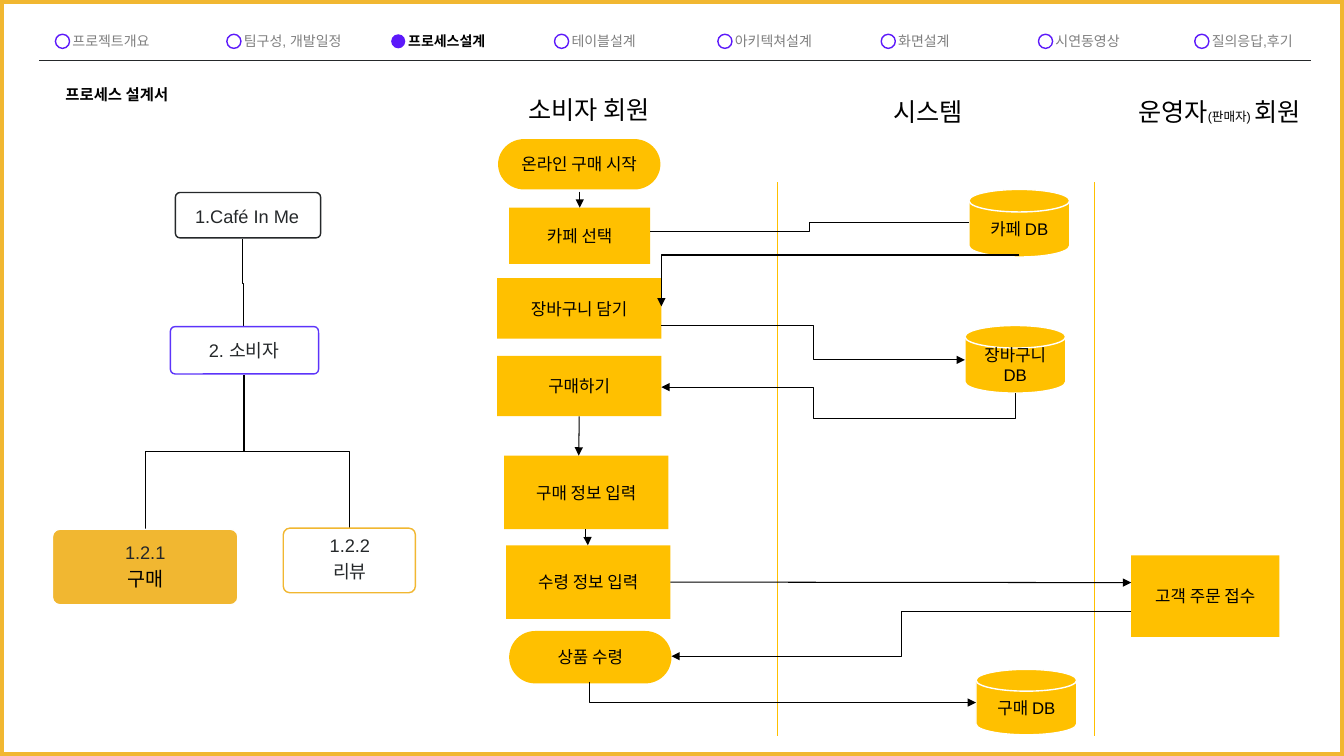
from pptx import Presentation
from pptx import util as u
from pptx.dml.color import RGBColor
from pptx.enum import shapes, text
from pptx.oxml import ns, xmlchemy

SHAPE = shapes.MSO_SHAPE
CONNECTOR = shapes.MSO_CONNECTOR
BLACK, INK, GREY = "000000", "25282A", "7F7F7F"
YELLOW, GOLD, VIOLET, WHITE = "FFC000", "F1B731", "5C19FA", "FFFFFF"


def color(value):
    return RGBColor.from_string(value)


class ProcessSlide:
    """Draws styled elements on one process design slide."""

    font = "Arial"

    def __init__(self, slide):
        self.slide = slide

    def paint(self, shape, fill=None, line=None, width=1):
        if fill:
            shape.fill.solid()
            shape.fill.fore_color.rgb = color(fill)
        else:
            shape.fill.background()
        if line:
            shape.line.color.rgb = color(line)
            shape.line.width = u.Pt(width)
        else:
            shape.line.fill.background()
        shape.shadow.inherit = False

    def set_text(self, frame, paragraphs, align=None, inset=0.1, **spacing):
        settings = {"word_wrap": True, "margin_left": u.Inches(inset), "margin_right": u.Inches(inset),
                    "margin_top": u.Inches(0.05), "margin_bottom": u.Inches(0.05)}
        if align:
            settings["vertical_anchor"] = text.MSO_ANCHOR.MIDDLE
        for name, value in settings.items():
            setattr(frame, name, value)
        for index, runs in enumerate(paragraphs):
            paragraph = frame.add_paragraph() if index else frame.paragraphs[0]
            paragraph.alignment = align
            if index:
                paragraph.space_before = u.Pt(4.5)
            for name, value in spacing.items():
                setattr(paragraph, name, value)
            for words, size, ink, bold in runs:
                run = paragraph.add_run()
                run.text = words
                run.font.color.rgb = color(ink)
                for name, value in {"name": self.font, "size": u.Pt(size), "bold": bold}.items():
                    setattr(run.font, name, value)

    def shape(self, kind, box, fill=None, line=None, width=1, label=None):
        shape = self.slide.shapes.add_shape(kind, *map(u.Inches, box))
        self.paint(shape, fill, line, width)
        if label:
            self.set_text(shape.text_frame, [[(label, 12, BLACK, False)]], text.PP_ALIGN.CENTER)
        return shape

    def text(self, box, runs):
        frame = self.slide.shapes.add_textbox(*map(u.Inches, box)).text_frame
        self.set_text(frame, [runs])
        frame.auto_size = text.MSO_AUTO_SIZE.SHAPE_TO_FIT_TEXT

    def connector(self, begin, end, ink=BLACK, width=0.75, arrow=False, kind=CONNECTOR.STRAIGHT):
        connector = self.slide.shapes.add_connector(kind, *map(u.Inches, (*begin, *end)))
        connector.line.color.rgb = color(ink)
        connector.line.width = u.Pt(width)
        properties = connector.element.spPr
        if arrow:
            head = xmlchemy.OxmlElement("a:tailEnd")
            head.set("type", "triangle")
            properties.find(ns.qn("a:ln")).append(head)
        properties.append(xmlchemy.OxmlElement("a:effectLst"))
        return connector

    def elbow(self, begin, end, preset="bentConnector3", turn=0, adjust=(), arrow=True):
        if turn:
            center_x, center_y = (begin[0] + end[0]) / 2, (begin[1] + end[1]) / 2
            half_x, half_y = abs(end[0] - begin[0]) / 2, abs(end[1] - begin[1]) / 2
            begin = center_x + half_y, center_y - half_x
            end = center_x - half_y, center_y + half_x
        connector = self.connector(begin, end, arrow=arrow, kind=CONNECTOR.ELBOW)
        properties = connector.element.spPr
        properties.xfrm.rot = turn
        geometry = properties.find(ns.qn("a:prstGeom"))
        geometry.set("prst", preset)
        geometry.rewrite_guides([(f"adj{number}", round(value * 100000))
                                 for number, value in enumerate(adjust, 1)])

    def branch(self, points):
        start, *rest = [tuple(map(u.Inches, point)) for point in points]
        builder = self.slide.shapes.build_freeform(*start)
        builder.add_line_segments(rest, close=False)
        self.paint(builder.convert_to_shape(), line=BLACK, width=0.75)

    def tree_box(self, box, text_box, paragraphs, fill=None, line=None):
        self.shape(SHAPE.ROUNDED_RECTANGLE, box, fill, line).adjustments[0] = 0.1
        frame = self.slide.shapes.add_textbox(*map(u.Inches, text_box)).text_frame
        self.set_text(frame, paragraphs, text.PP_ALIGN.CENTER, 0.05, line_spacing=0.9)


def main():
    presentation = Presentation()
    presentation.slide_width, presentation.slide_height = u.Inches(13.33), u.Inches(7.5)
    page = ProcessSlide(presentation.slides.add_slide(presentation.slide_layouts[6]))

    page.connector((0.39, 0.6), (13, 0.6), INK, 1)
    menu = [("프로젝트개요", 0.55, 1.35), ("팀구성, 개발일정", 2.25, 1.31), ("프로세스설계", 3.88, 1.29),
            ("테이블설계", 5.5, 0.99), ("아키텍쳐설계", 7.12, 1.36), ("화면설계", 8.74, 0.99),
            ("시연동영상", 10.3, 0.99), ("질의응답,후기", 11.85, 1.15)]
    for label, left, width in menu:
        current = label == "프로세스설계"
        page.shape(SHAPE.OVAL, (left, 0.34, 0.14, 0.14),
                   VIOLET if current else None, None if current else VIOLET)
        page.text((left + 0.07, 0.27, width, 0.27),
                  [(label, 10, BLACK if current else GREY, current)])

    page.shape(SHAPE.RECTANGLE, (0, 0, 13.33, 7.5), line=GOLD, width=6)
    page.text((0.55, 0.79, 1.41, 0.29), [("프로세스 설계서", 11, BLACK, True)])
    page.text((5.14, 0.89, 2.2, 0.4), [("소비자 회원", 18, BLACK, False)])
    page.text((8.76, 0.91, 1.81, 0.4), [("시스템", 18, BLACK, False)])
    page.text((11.19, 0.91, 1.88, 0.4), [("운영자", 18, BLACK, False), ("(판매자) ", 9, BLACK, False),
                                         ("회원", 18, BLACK, False)])
    for lane in (7.71, 10.86):
        page.connector((lane, 1.81), (lane, 7.3), YELLOW)

    for label, box in [("온라인 구매 시작", (4.94, 1.38, 1.61, 0.5)), ("상품 수령", (5.05, 6.26, 1.61, 0.52))]:
        page.shape(SHAPE.FLOWCHART_TERMINATOR, box, YELLOW, label=label)
    steps = {label: page.shape(SHAPE.RECTANGLE, box, YELLOW, label=label) for label, box in [
        ("카페 선택", (5.05, 2.06, 1.4, 0.56)), ("장바구니 담기", (4.93, 2.76, 1.63, 0.6)),
        ("구매하기", (4.93, 3.53, 1.63, 0.6)), ("구매 정보 입력", (5, 4.52, 1.63, 0.73)),
        ("수령 정보 입력", (5.02, 5.41, 1.63, 0.73)), ("고객 주문 접수", (11.22, 5.51, 1.47, 0.81))]}
    for label, box in [("카페 DB", (9.61, 1.88, 1, 0.67)), ("장바구니 DB", (9.57, 3.23, 1, 0.67)),
                       ("구매 DB", (9.68, 6.64, 1, 0.65))]:
        page.shape(SHAPE.FLOWCHART_MAGNETIC_DISK, box, YELLOW, WHITE, label=label)

    page.connector((5.75, 1.9), (5.75, 2.06), arrow=True).end_connect(steps["카페 선택"], 0)
    page.connector((5.75, 4.14), (5.74, 4.52), arrow=True).begin_connect(steps["구매하기"], 2)
    page.connector((6.65, 5.78), (11.22, 5.78), arrow=True).begin_connect(steps["수령 정보 입력"], 3)
    page.elbow((6.45, 2.3), (9.61, 2.21), arrow=False)
    page.elbow((10.11, 2.53), (6.56, 3.04), "bentConnector2")
    page.elbow((6.56, 3.23), (9.57, 3.57))
    page.elbow((10.07, 3.9), (6.56, 3.84), "bentConnector4", 90, (-4.17, 0.57))
    page.elbow((5.81, 5.25), (5.83, 5.41), turn=270)
    page.elbow((11.22, 6.07), (6.66, 6.51))
    page.elbow((5.85, 6.77), (9.68, 6.97), "bentConnector2", 270)

    page.branch([(2.41, 2.37), (2.41, 2.81), (2.42, 2.81), (2.42, 3.24)])
    for child, bottom in [(1.44, 5.25), (3.47, 5.24)]:
        page.branch([(2.42, 3.72), (2.42, 4.48), (child, 4.48), (child, bottom)])
    page.tree_box((1.74, 1.91, 1.44, 0.45), (1.83, 1.93, 1.24, 0.45),
                  [[("1.Café In Me", 13, INK, False)]], line=INK)
    page.tree_box((1.69, 3.24, 1.47, 0.47), (1.7, 3.26, 1.44, 0.45),
                  [[("2. 소비자", 13, INK, False)]], line="5C34FA")
    page.tree_box((0.52, 5.25, 1.84, 0.75), (0.54, 5.27, 1.8, 0.71),
                  [[("1.2.1", 13, INK, False)], [("구매", 14, BLACK, False)]], GOLD, WHITE)
    page.tree_box((2.81, 5.24, 1.31, 0.64), (2.92, 5.31, 1.1, 0.48),
                  [[("1.2.2", 13, INK, False)], [("리뷰", 13, INK, False)]], line=GOLD)

    presentation.save("out.pptx")


if __name__ == "__main__":
    main()
